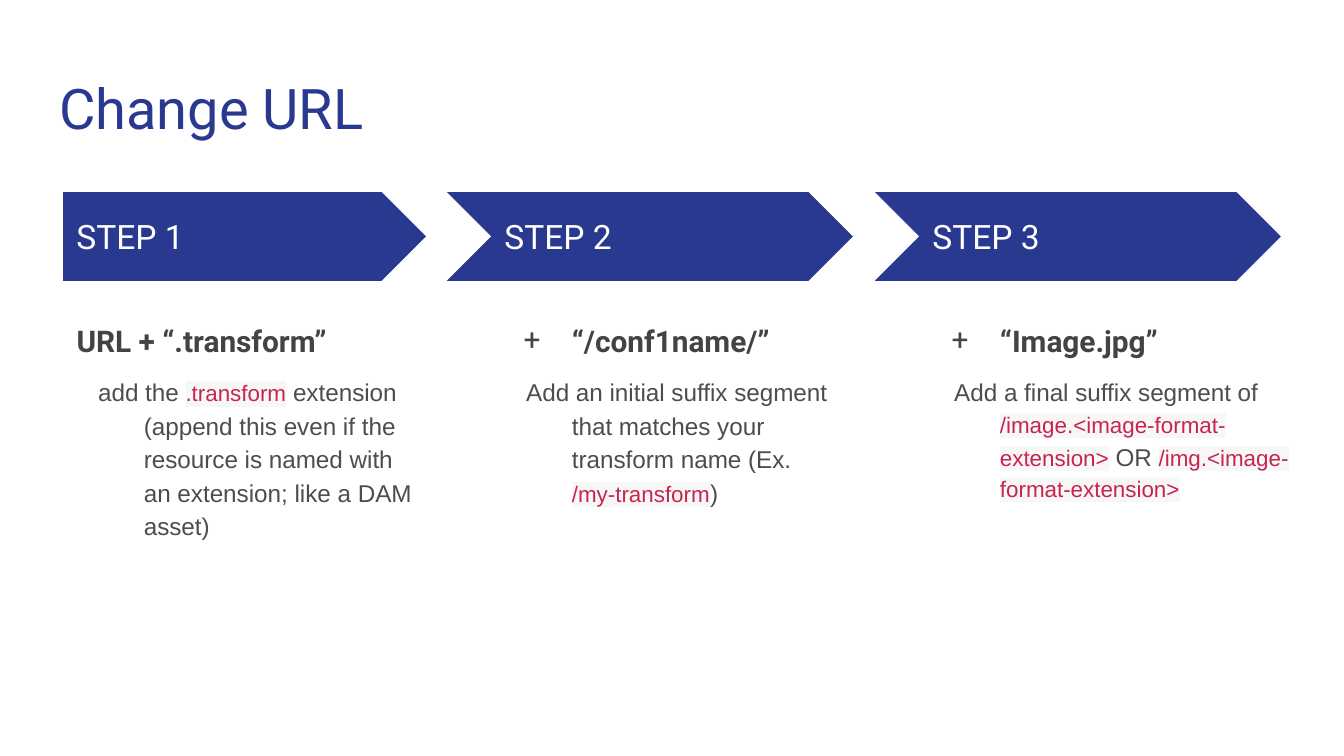
from lxml import etree
from pptx import Presentation
from pptx import util as u
from pptx.dml.color import RGBColor
from pptx.enum import shapes, text
from pptx.oxml import ns

NAVY = RGBColor(0x2A, 0x39, 0x90)
WHITE = RGBColor(0xFF, 0xFF, 0xFF)
DARK = RGBColor(0x43, 0x43, 0x43)
GREY = RGBColor(0x4D, 0x4D, 0x4D)
CRIMSON = RGBColor(0xC7, 0x25, 0x4E)
PALE = RGBColor(0xF7, 0xF7, 0xF7)

TITLE = {"size": u.Pt(30), "name": "Roboto", "bold": False}
STEP = {"size": u.Pt(18), "name": "Roboto", "bold": False}
HEAD = {"size": u.Pt(16), "name": "Roboto", "bold": True}
BODY = {"size": u.Pt(13), "name": "Arial", "bold": False}
CODE = {"size": u.Pt(12), "name": "Arial", "bold": False}

LEFT, RIGHT, WIDTH = 0.47, 6.84, 2.7
PITCH = (RIGHT - LEFT) / 2
ARROW_HEIGHT = 0.66
STEPS = [
    ("URL + “.transform”", None, WIDTH,
     ["add the ", ".transform",
      " extension (append this even if the resource is named with an extension; like a DAM asset)"]),
    ("“/conf1name/”", "+", WIDTH,
     ["Add an initial suffix segment that matches your transform name (Ex. ", "/my-transform", ")"]),
    ("“Image.jpg”", "+", 3.16,
     ["Add a final suffix segment of ", "/image.<image-format-extension>",
      " OR ", "/img.<image-format-extension>"]),
]


def set_attrs(obj, values):
    """Set each attribute of obj from a dict."""
    for name, value in values.items():
        setattr(obj, name, value)


def sub(parent, tag, **attrs):
    """Append a DrawingML child element."""
    return etree.SubElement(parent, ns.qn(tag), **attrs)


def place(sp, x, y, w, h):
    """Position a shape, in inches."""
    set_attrs(sp, {"left": u.Inches(x), "top": u.Inches(y),
                   "width": u.Inches(w), "height": u.Inches(h)})


def frame(sp, anchor):
    """Return the text frame with even margins and the given anchor."""
    tf = sp.text_frame
    margins = {f"margin_{side}": u.Inches(0.1) for side in ("left", "top", "right", "bottom")}
    set_attrs(tf, {**margins, "word_wrap": True, "vertical_anchor": anchor,
                   "auto_size": text.MSO_AUTO_SIZE.NONE})
    return tf


def add_run(p, words, style, color, highlight=None):
    """Add a styled run, with an optional highlight."""
    r = p.add_run()
    r.text = words
    r.font.color.rgb = color
    if highlight is not None:
        sub(sub(r.font._element, "a:highlight"), "a:srgbClr", val=str(highlight))
    set_attrs(r.font, style)


def format_paragraph(p, after, left=0, indent=0, bullet=None):
    """Set spacing, indents and the bullet of a paragraph."""
    set_attrs(p, {"alignment": text.PP_ALIGN.LEFT, "line_spacing": 1.15,
                  "space_before": u.Pt(0), "space_after": u.Pt(after)})
    pPr = p._p.get_or_add_pPr()
    pPr.set("marL", str(u.Inches(left)))
    pPr.set("indent", str(u.Inches(indent)))
    if bullet:
        sub(sub(pPr, "a:buClr"), "a:srgbClr", val=str(DARK))
        sub(pPr, "a:buFont", typeface="Roboto")
        sub(pPr, "a:buChar", char=bullet)
    else:
        sub(pPr, "a:buNone")


def add_title(s, words):
    """Fill the title placeholder."""
    sp = s.shapes.title
    place(sp, 0.34, 0.45, 9.32, 0.66)
    p = frame(sp, text.MSO_ANCHOR.TOP).paragraphs[0]
    p.alignment = text.PP_ALIGN.LEFT
    add_run(p, words, TITLE, NAVY)


def add_arrow(s, number, x):
    """Draw a step arrow and its label."""
    kind, notch, width = shapes.MSO_SHAPE.CHEVRON, ARROW_HEIGHT / 2, 3.02
    if number == 1:
        kind, notch, width = shapes.MSO_SHAPE.PENTAGON, 0, WIDTH
    sp = s.shapes.add_shape(kind, 0, 0, 0, 0)
    place(sp, x - notch, 1.43, width, ARROW_HEIGHT)
    sp.shadow.inherit = False
    sp.fill.solid()
    sp.fill.fore_color.rgb = NAVY
    sp.line.fill.background()
    label = s.shapes.add_textbox(0, 0, 0, 0)
    place(label, x, 1.59, 2.47, 0.34)
    p = frame(label, text.MSO_ANCHOR.MIDDLE).paragraphs[0]
    add_run(p, f"STEP {number}", STEP, WHITE)


def add_details(sp, x, width, heading, bullet, parts):
    """Fill a body placeholder with a heading and text that alternates with code."""
    place(sp, x, 2.26, width, 2.9)
    tf = frame(sp, text.MSO_ANCHOR.TOP)
    p = tf.paragraphs[0]
    if bullet:
        format_paragraph(p, 8, 0.5, -0.36, bullet)
    else:
        format_paragraph(p, 8)
    add_run(p, heading, HEAD, DARK)
    p = tf.add_paragraph()
    format_paragraph(p, 11, 0.5, -0.34)
    for i, part in enumerate(parts):
        if i % 2:
            add_run(p, part, CODE, CRIMSON, PALE)
        else:
            add_run(p, part, BODY, GREY)


def main():
    """Build the slide and save it."""
    prs = Presentation()
    set_attrs(prs, {"slide_width": u.Inches(10), "slide_height": u.Inches(10 * 9 / 16)})
    s = prs.slides.add_slide(prs.slide_layouts.get_by_name("Comparison"))
    add_title(s, "Change URL")
    *bodies, spare = list(s.placeholders)[1:5]
    spare._element.getparent().remove(spare._element)
    for i, (sp, (heading, bullet, width, parts)) in enumerate(zip(bodies, STEPS)):
        x = LEFT + i * PITCH
        add_arrow(s, i + 1, x)
        add_details(sp, x, width, heading, bullet, parts)
    prs.save("out.pptx")


if __name__ == "__main__":
    main()
